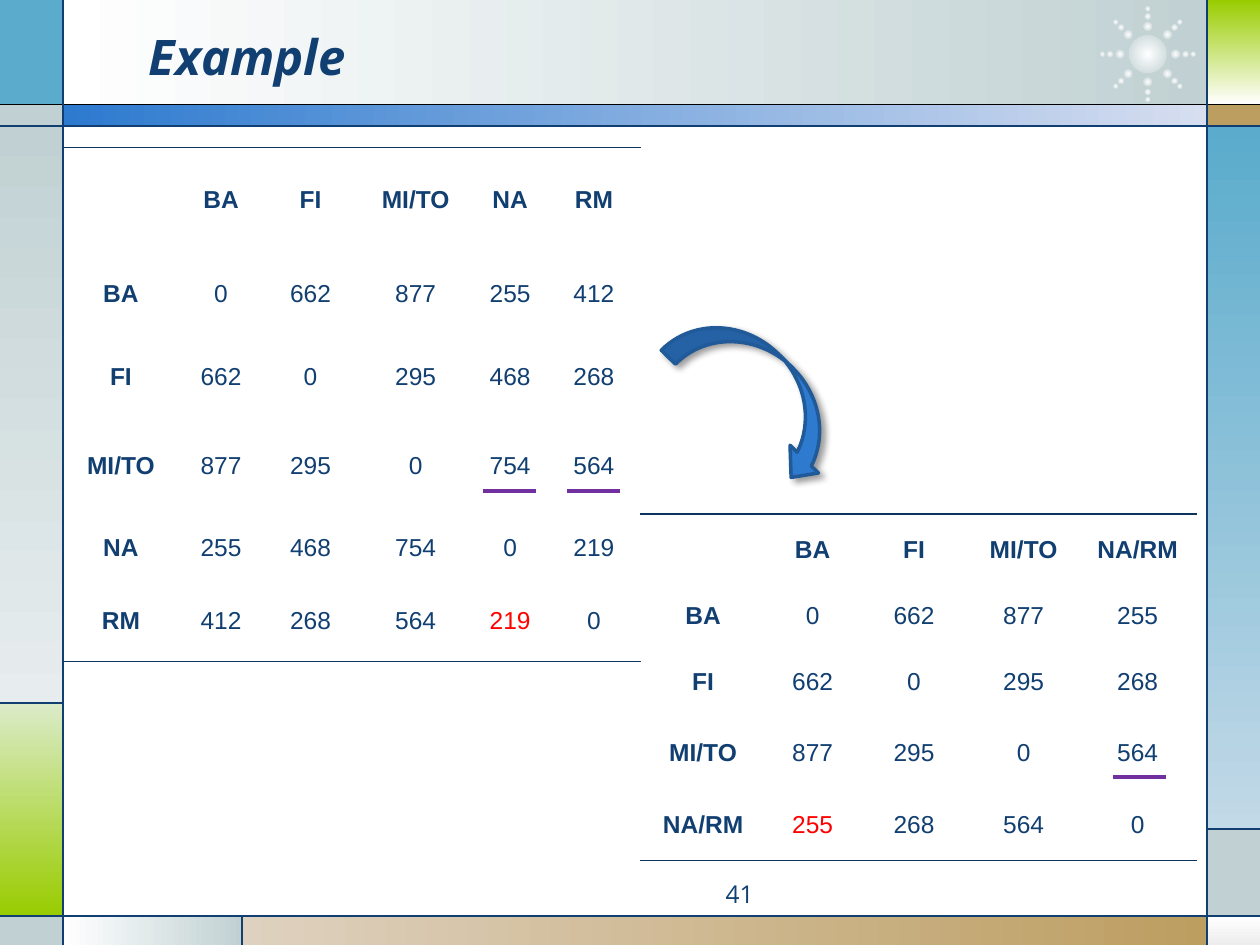
from math import cos, pi, sin

from lxml import etree
from pptx import Presentation
from pptx import util as u
from pptx.dml.color import RGBColor
from pptx.enum import shapes, text
from pptx.oxml import ns

NAVY, RULE, RED, PURPLE = "113F71", "0D345F", "FF0000", "7030A0"
SKY, MIST, SAND, LIME, BLUE, WHITE = "5AABCC", "C1D1D3", "BD9E61", "99CC00", "2D7ACF", "FFFFFF"
PLAIN_TABLE = "{2D5ABB26-0587-4C30-8999-92F81FD0307C}"
WIDTH, HEIGHT = 10, 7.5

# Frame grid: side columns and horizontal bands
LEFT, RIGHT, TOP, BAND, FOOT = 0.5, 9.58, 0.83, 1, 7.27
LEFT_SPLIT, RIGHT_SPLIT, FOOT_SPLIT = 5.58, 6.58, 1.92

# left, top, right, bottom, colours, direction
PANELS = [
    (LEFT, 0, RIGHT, TOP, (WHITE, MIST), "across"),
    (0, 0, LEFT, TOP, (SKY,), None),
    (0, TOP, LEFT, BAND, (MIST,), None),
    (0, BAND, LEFT, LEFT_SPLIT, (MIST, "E7EDEE"), "down"),
    (0, LEFT_SPLIT, LEFT, FOOT, ("DBEBC9", LIME), "down"),
    (0, FOOT, LEFT, HEIGHT, (MIST,), None),
    (LEFT, FOOT, FOOT_SPLIT, HEIGHT, (WHITE, MIST), "across"),
    (FOOT_SPLIT, FOOT, RIGHT, HEIGHT, ("DED1BF", SAND), "across"),
    (RIGHT, FOOT, WIDTH, HEIGHT, (WHITE, "EDEDED"), "down"),
    (RIGHT, RIGHT_SPLIT, WIDTH, FOOT, (MIST,), None),
    (RIGHT, BAND, WIDTH, RIGHT_SPLIT, (SKY, "C2D9E7"), "down"),
    (RIGHT, TOP, WIDTH, BAND, (SAND,), None),
    (RIGHT, 0, WIDTH, TOP, (LIME, WHITE), "down"),
    (LEFT, TOP, RIGHT, BAND, (BLUE, "D7DEF0"), "across"),
]
FRAME_LINES = [
    (0, TOP, WIDTH, TOP, "000000"),
    (0, BAND, WIDTH, BAND, NAVY),
    (0, FOOT, WIDTH, FOOT, NAVY),
    (LEFT, 0, LEFT, HEIGHT, NAVY),
    (RIGHT, 0, RIGHT, HEIGHT, NAVY),
    (LEFT, LEFT_SPLIT, 0, LEFT_SPLIT, NAVY),
    (FOOT_SPLIT, FOOT, FOOT_SPLIT, HEIGHT, NAVY),
    (RIGHT, RIGHT_SPLIT, WIDTH, RIGHT_SPLIT, NAVY),
]
BURST_CENTRE, BURST_CORE, BURST_RAYS = (9.11, 0.43), 0.3, 8
BEADS = [(0.22, 0.07), (0.3, 0.05), (0.36, 0.04)]  # distance, diameter

TABLES = [
    {"at": (0.5, 1.17), "inset": 0.06, "red": (5, 4),
     "columns": [0.92, 0.67, 0.75, 0.92, 0.58, 0.75],
     "heights": [0.83, 0.67, 0.64, 0.78, 0.52, 0.64],
     "cities": ["BA", "FI", "MI/TO", "NA", "RM"],
     "distances": [[0, 662, 877, 255, 412],
                   [662, 0, 295, 468, 268],
                   [877, 295, 0, 754, 564],
                   [255, 468, 754, 0, 219],
                   [412, 268, 564, 219, 0]]},
    {"at": (5.08, 4.08), "inset": 0.07, "red": (4, 1),
     "columns": [1, 0.74, 0.87, 0.87, 0.94],
     "heights": [0.57, 0.48, 0.56, 0.57, 0.57],
     "cities": ["BA", "FI", "MI/TO", "NA/RM"],
     "distances": [[0, 662, 877, 255],
                   [662, 0, 295, 268],
                   [877, 295, 0, 564],
                   [255, 268, 564, 0]]},
]
UNDERLINES, UNDERLINE_WIDTH = [(3.83, 3.9), (4.5, 3.9), (8.83, 6.17)], 0.42


def inches(*lengths):
    """Convert lengths to EMU."""
    return [u.Inches(length) for length in lengths]


def rgb(colour):
    """Turn a hex string into a colour."""
    return RGBColor.from_string(colour)


def add_xml(parent, tag, **attributes):
    """Append a DrawingML element and return it."""
    return etree.SubElement(parent, ns.qn("a:" + tag), attributes)


def paint(shape, colours, direction=None):
    """Fill with one colour or a two-colour gradient, without outline."""
    shape.shadow.inherit = False
    shape.line.fill.background()
    if direction is None:
        shape.fill.solid()
        shape.fill.fore_color.rgb = rgb(colours[0])
        return
    shape.fill.gradient()
    for stop, colour in zip(shape.fill.gradient_stops, colours):
        stop.color.rgb = rgb(colour)
    shape.fill.gradient_angle = 270 if direction == "down" else 0
    if direction == "radial":
        linear = shape._element.spPr.find(".//" + ns.qn("a:lin"))
        radial = add_xml(linear.getparent(), "path", path="circle")
        add_xml(radial, "fillToRect", l="50000", t="50000", r="50000", b="50000")
        linear.getparent().replace(linear, radial)


def add_dot(page, x, y, size):
    """Draw a glowing dot centred on a point."""
    dot = page.shapes.add_shape(shapes.MSO_SHAPE.OVAL,
                                *inches(x - size / 2, y - size / 2, size, size))
    paint(dot, (WHITE, MIST), "radial")


def add_line(page, ends, colour, width):
    """Draw a straight line without shadow."""
    line = page.shapes.add_connector(shapes.MSO_CONNECTOR.STRAIGHT, *inches(*ends))
    line.line.color.rgb = rgb(colour)
    line.line.width = u.Pt(width)
    add_xml(line._element.spPr, "effectLst")


def style(para, size, font, colour=NAVY, bold=False, italic=False):
    """Format every run of a paragraph."""
    for span in para.runs:
        span.font.size, span.font.name = u.Pt(size), font
        span.font.bold, span.font.italic = bold, italic
        span.font.color.rgb = rgb(colour)


def add_border(cell, side):
    """Rule one side of a cell."""
    border = etree.Element(ns.qn("a:" + side), {"w": str(u.Pt(1))})
    add_xml(add_xml(border, "solidFill"), "srgbClr", val=RULE)
    cell._tc.get_or_add_tcPr().insert(0, border)


def add_matrix(page, data):
    """Build a distance table with city names on both axes."""
    cities = data["cities"]
    rows = [["", *cities]] + [[city, *values] for city, values in zip(cities, data["distances"])]
    frame = page.shapes.add_table(len(rows), len(rows[0]), *inches(
        *data["at"], sum(data["columns"]), sum(data["heights"])))
    table = frame.table
    table.first_row = table.horz_banding = False
    table._tbl.tblPr.find(ns.qn("a:tableStyleId")).text = PLAIN_TABLE
    for column, width in zip(table.columns, data["columns"]):
        column.width = u.Inches(width)
    for r, (row, height) in enumerate(zip(rows, data["heights"])):
        table.rows[r].height = u.Inches(height)
        for c, value in enumerate(row):
            cell = table.cell(r, c)
            cell.fill.background()
            cell.margin_left = cell.margin_right = u.Inches(data["inset"])
            cell.margin_top = cell.margin_bottom = u.Inches(0.03)
            cell.vertical_anchor = text.MSO_ANCHOR.MIDDLE
            para = cell.text_frame.paragraphs[0]
            para.text = str(value)
            para.alignment = text.PP_ALIGN.CENTER
            style(para, 14, "Arial", RED if (r, c) == data["red"] else NAVY, r == 0 or c == 0)
            if r == 0:
                add_border(cell, "lnT")
            elif r == len(rows) - 1:
                add_border(cell, "lnB")


def add_arrow(page):
    """Draw the curved arrow between the tables."""
    arrow = page.shapes.add_shape(shapes.MSO_SHAPE.CURVED_DOWN_ARROW,
                                  *inches(5.24, 2.8, 1.6, 0.63))
    paint(arrow, (BLUE,))
    arrow.rotation = 44.4
    arrow.adjustments[2] = 0.28
    arrow.line.color.rgb = rgb("215A99")
    arrow.line.width = u.Pt(2)
    effects = arrow._element.spPr.find(ns.qn("a:effectLst"))
    shadow = add_xml(effects, "outerShdw", blurRad=str(u.Pt(4)), dist=str(u.Pt(3)),
                     dir="2700000", rotWithShape="0")
    add_xml(add_xml(shadow, "srgbClr", val="000000"), "alpha", val="40000")


deck = Presentation()
deck.slide_width, deck.slide_height = inches(WIDTH, HEIGHT)
page = deck.slides.add_slide(deck.slide_layouts[5])

for left, top, right, bottom, colours, direction in PANELS:
    panel = page.shapes.add_shape(shapes.MSO_SHAPE.RECTANGLE,
                                  *inches(left, top, right - left, bottom - top))
    paint(panel, colours, direction)
add_dot(page, *BURST_CENTRE, BURST_CORE)
for ray in range(BURST_RAYS):
    angle = 2 * pi * ray / BURST_RAYS
    for distance, size in BEADS:
        add_dot(page, BURST_CENTRE[0] + distance * cos(angle),
                BURST_CENTRE[1] + distance * sin(angle), size)
for *ends, colour in FRAME_LINES:
    add_line(page, ends, colour, 0.75)

title = page.shapes.title
title.left, title.top, title.width, title.height = inches(1.08, 0.13, 7.33, 0.62)
title.text_frame.text = "Example"
title.text_frame.vertical_anchor = text.MSO_ANCHOR.MIDDLE
title.text_frame.paragraphs[0].alignment = text.PP_ALIGN.LEFT
style(title.text_frame.paragraphs[0], 28, "Open Sans", bold=True, italic=True)
page.shapes._spTree.append(title._element)  # bring in front of the header panel

number = page.shapes.add_textbox(*inches(3.75, 6.93, 2.33, 0.27)).text_frame
number.word_wrap = True
number.text = "41"
number.paragraphs[0].alignment = text.PP_ALIGN.RIGHT
style(number.paragraphs[0], 14, "Open Sans")

for data in TABLES:
    add_matrix(page, data)
add_arrow(page)
for x, y in UNDERLINES:
    add_line(page, (x, y, x + UNDERLINE_WIDTH, y), PURPLE, 2.25)

deck.save("out.pptx")
